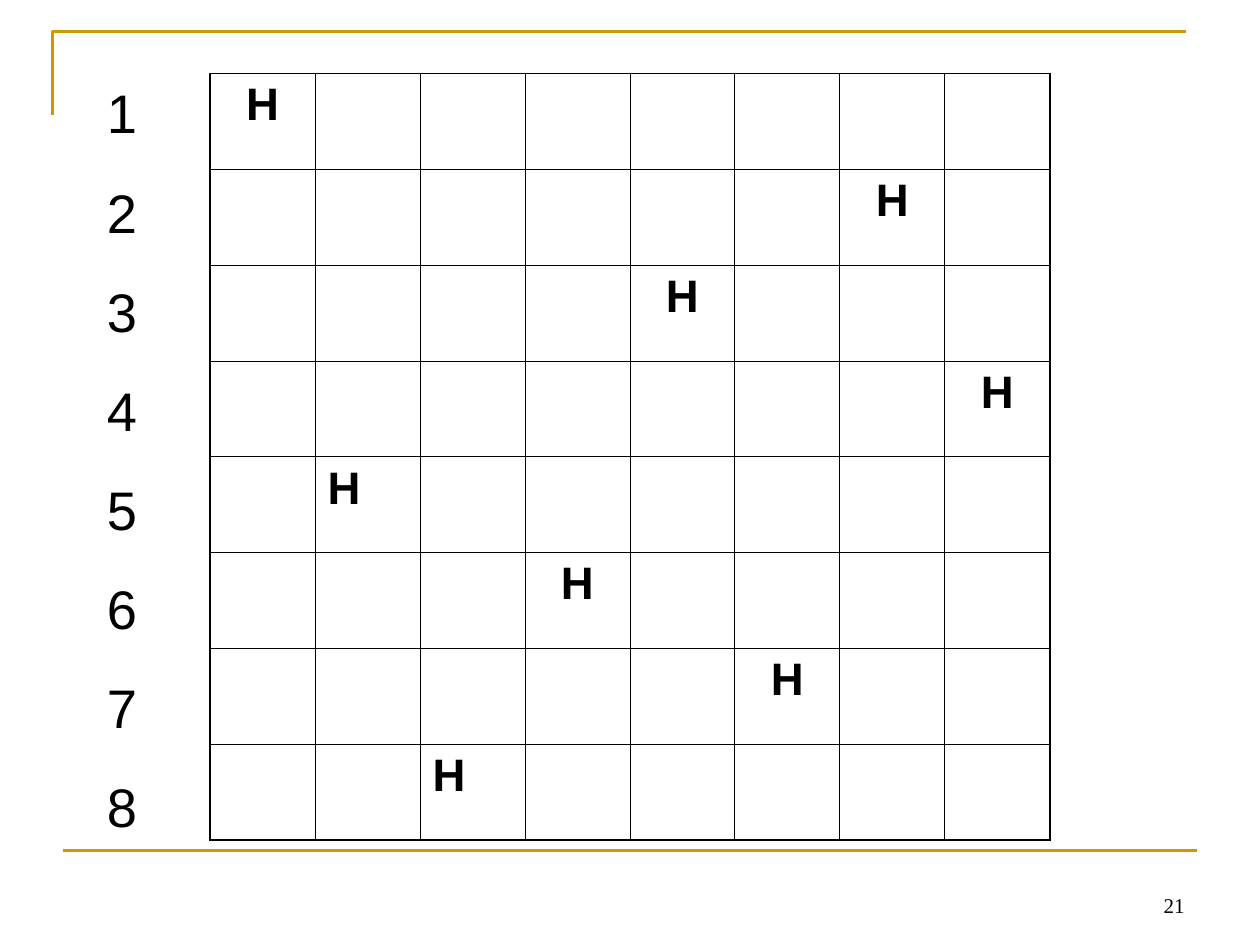
from lxml import etree
from pptx import Presentation
from pptx.dml.color import RGBColor
from pptx.enum import shapes, text
from pptx.oxml import ns
from pptx.util import Pt

SIZE = 8
QUEENS = [0, 6, 4, 7, 1, 3, 5, 2]  # column of the queen in each row
LEFT = {4, 7}  # rows whose queen is left-aligned
GOLD, BLACK = "CC9900", "000000"


def color(code):
    return RGBColor.from_string(code)


def style(para, size, font="Arial", bold=False):
    for run in para.runs:
        run.font.size = Pt(size)
        run.font.name = font
        run.font.bold = bold
        run.font.color.rgb = color(BLACK)


def stroke(shape):
    shape.line.color.rgb = color(GOLD)
    shape.line.width = Pt(1.5)


def edge(cell, side, width):
    line = etree.SubElement(cell._tc.get_or_add_tcPr(), ns.qn("a:ln" + side),
                            w=str(Pt(width)))
    fill = etree.SubElement(line, ns.qn("a:solidFill"))
    etree.SubElement(fill, ns.qn("a:srgbClr"), val=BLACK)


def frame(slide, x, y, w, h):
    """Gold corner at the top left and gold rule at the bottom."""
    path = slide.shapes.build_freeform(Pt(x), Pt(y + 48))
    path.add_line_segments([(Pt(x), Pt(y)), (Pt(x + w), Pt(y))], close=False)
    corner = path.convert_to_shape()
    corner.shadow.inherit = False
    corner.fill.background()
    stroke(corner)
    rule = slide.shapes.add_connector(
        shapes.MSO_CONNECTOR.STRAIGHT,
        Pt(x + 6), Pt(y + h), Pt(x + w + 6), Pt(y + h))
    stroke(rule)
    etree.SubElement(rule._element.spPr, ns.qn("a:effectLst"))


def board(slide, x, y, w, h):
    table = slide.shapes.add_table(SIZE, SIZE, Pt(x), Pt(y), Pt(w), Pt(h)).table
    table.first_row = table.horz_banding = False
    last = SIZE - 1
    for col in table.columns:
        col.width = Pt(w / SIZE)
    for r, row in enumerate(table.rows):
        row.height = Pt(h / SIZE)
        for c, cell in enumerate(row.cells):
            outer = {"L": c == 0, "R": c == last, "T": r == 0, "B": r == last}
            for side, thick in outer.items():
                edge(cell, side, 1.08 if thick else 0.45)
            cell.fill.background()
            if c == QUEENS[r]:
                cell.text_frame.text = "H"
                para = cell.text_frame.paragraphs[0]
                para.space_before = Pt(6.5)
                para.alignment = (text.PP_ALIGN.LEFT if r in LEFT
                                  else text.PP_ALIGN.CENTER)
                style(para, 26, bold=True)


def label(slide, x, y, w, h, words):
    body = slide.shapes.add_textbox(Pt(x), Pt(y), Pt(w), Pt(h)).text_frame
    body.word_wrap = True
    body.text = words
    return body


def ranks(slide, x, y, w, h):
    """Row numbers beside the board."""
    body = label(slide, x, y, w, h,
                 "\n".join(str(n + 1) for n in range(SIZE)))
    for para in body.paragraphs:
        para.space_before = Pt(19.4)
        style(para, 31)


def folio(slide, x, y, w, h):
    """Page number."""
    body = label(slide, x, y, w, h, "21")
    body.vertical_anchor = text.MSO_ANCHOR.BOTTOM
    para = body.paragraphs[0]
    para.alignment = text.PP_ALIGN.RIGHT
    style(para, 12, "Times New Roman")


def main():
    deck = Presentation()
    deck.slide_width, deck.slide_height = Pt(720), Pt(540)
    slide = deck.slides.add_slide(deck.slide_layouts[6])
    frame(slide, 30, 18, 648, 468)
    board(slide, 120, 42, 480, 438)
    ranks(slide, 54, 42, 48, 440.5)
    folio(slide, 516, 492, 168, 36)
    deck.save("out.pptx")


if __name__ == "__main__":
    main()
